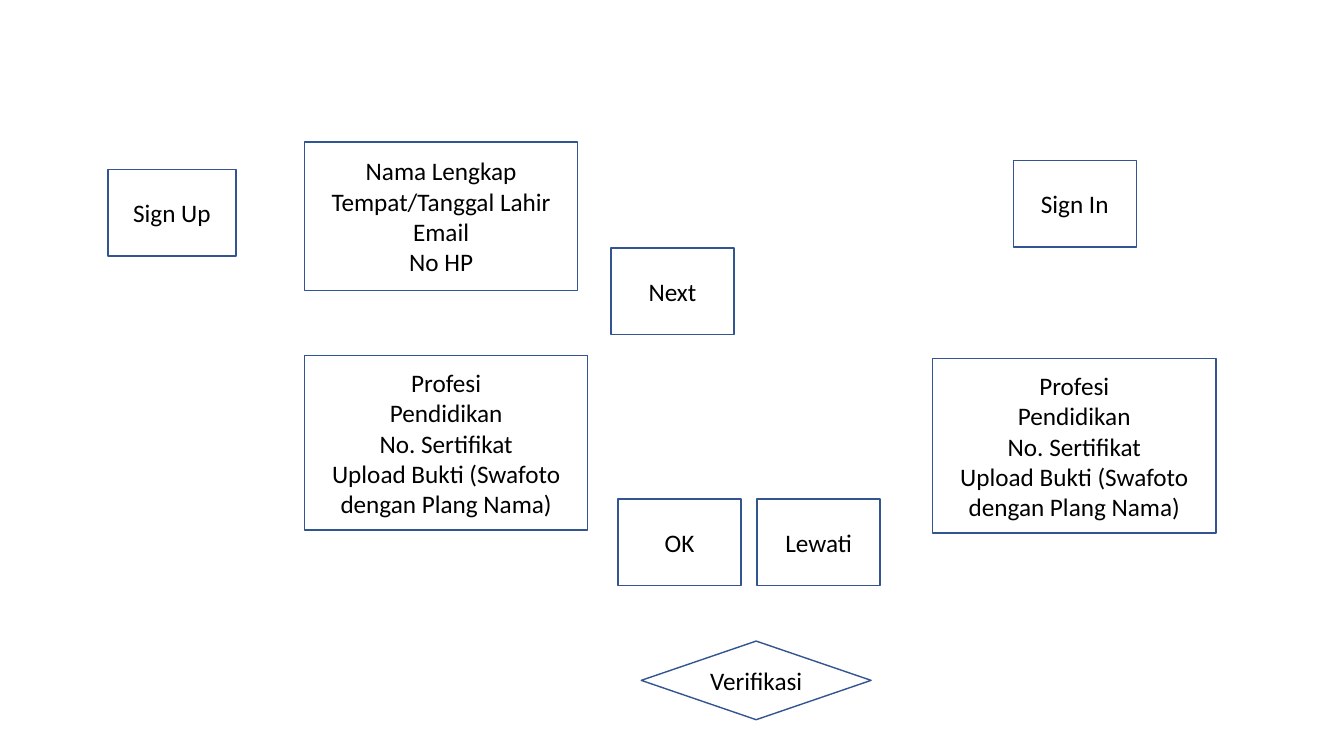
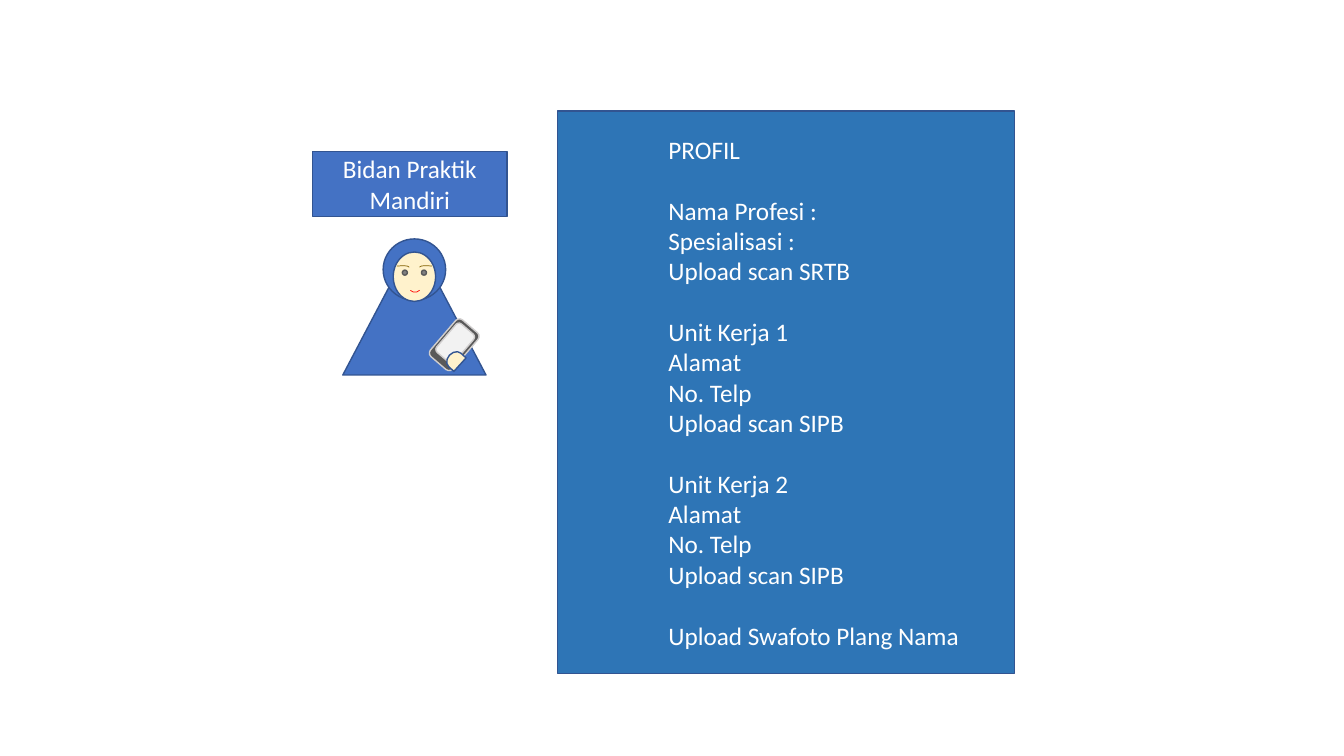
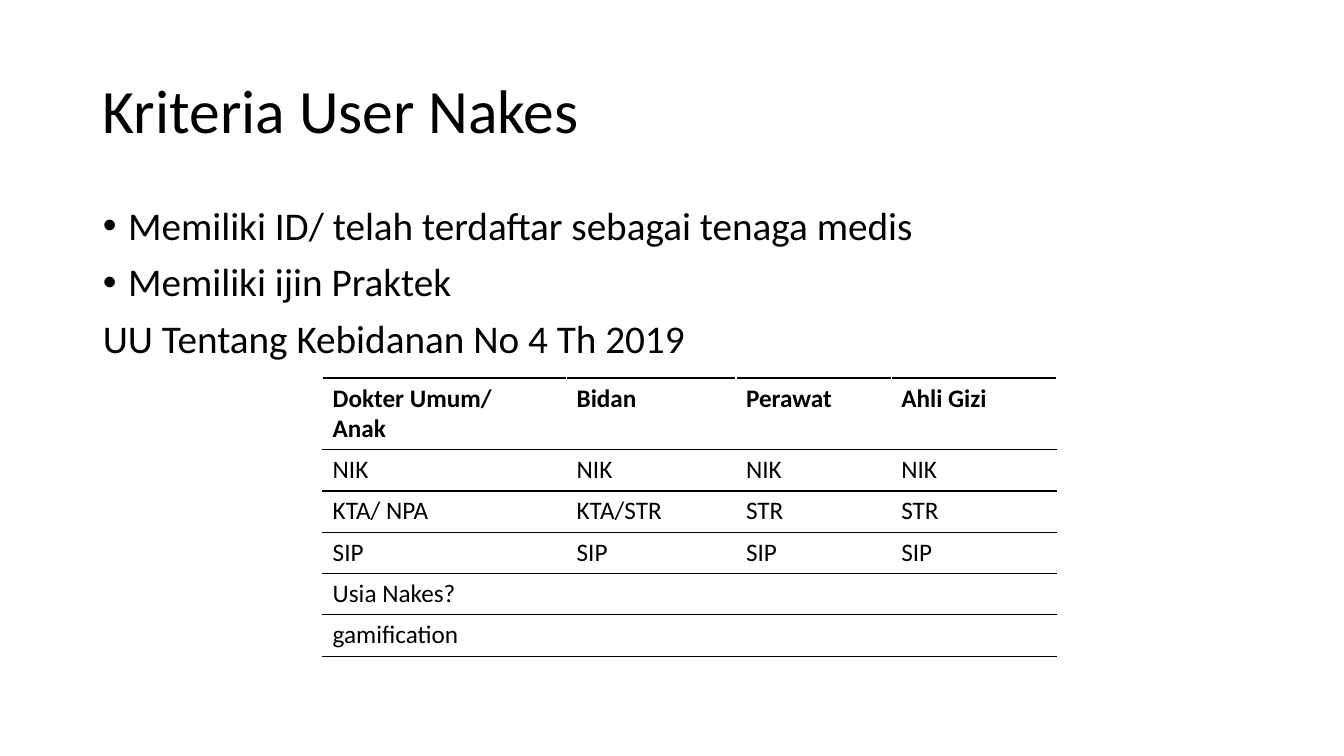
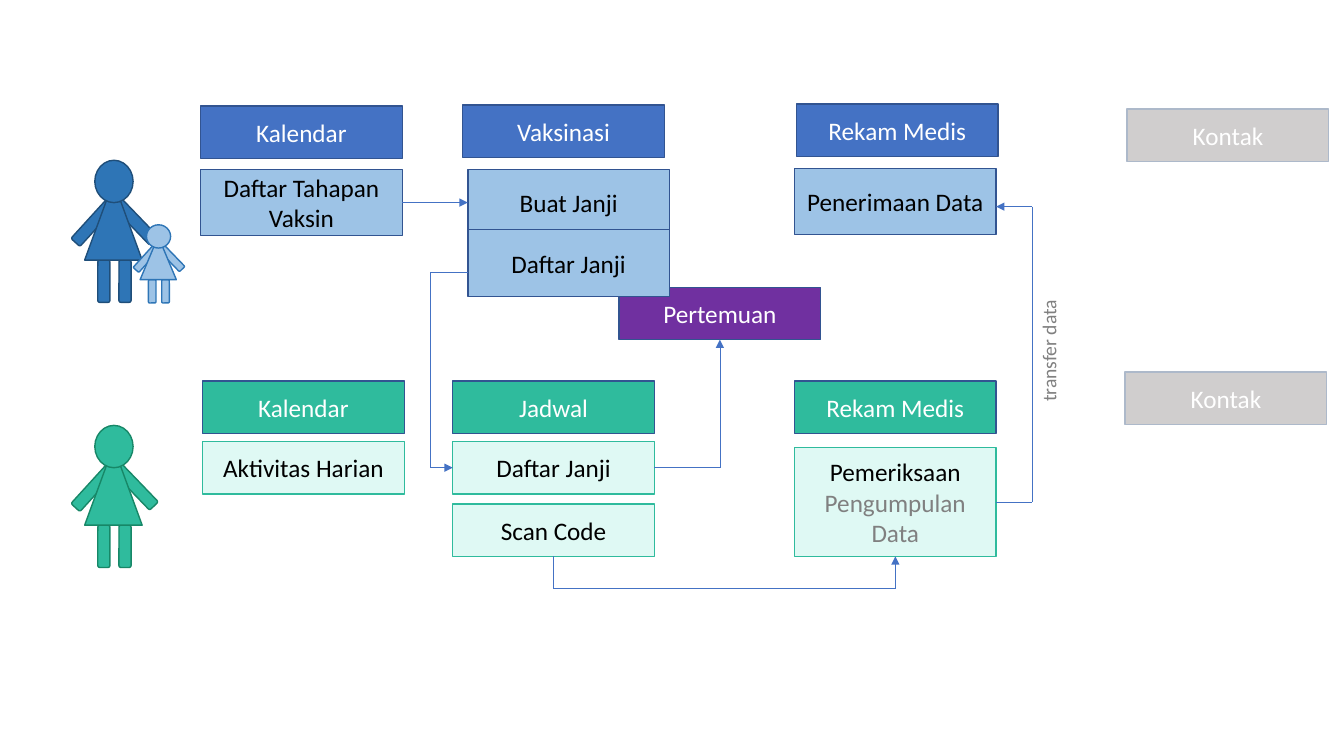
from lxml.etree import SubElement as Sub
from pptx import Presentation
from pptx.dml.color import RGBColor as Rgb
from pptx.enum.shapes import MSO_CONNECTOR as Conn, MSO_SHAPE as Geo
from pptx.enum.text import MSO_ANCHOR as Anchor, PP_ALIGN as Align
from pptx.oxml.ns import qn
from pptx.util import Inches, Pt

HUES = {
    "black": "000000", "white": "FFFFFF", "navy": "325491", "blue": "4472C4",
    "steel": "2E75B6", "deep": "1F4E79", "sky": "9DC3E6", "teal": "2FBB9D",
    "pine": "178767", "mint": "DFF9F4", "plum": "7030A0", "pale": "D0CECE",
    "mist": "ADB9CA", "gray": "808080", "dark": "595959", "snow": "F2F2F2",
    "skin": "FFF2CC", "red": "FF0000", "brown": "806000",
}
LOOKS = {
    "plain": (None, "navy", "black"), "head": ("blue", "navy", "white"),
    "panel": ("steel", "navy", "white"), "step": ("sky", "navy", "black"),
    "green": ("teal", "navy", "white"), "task": ("mint", "teal", "black"),
    "meet": ("plum", "navy", "white"), "off": ("pale", "mist", "white"),
}
BODY = [
    (Geo.ROUNDED_RECTANGLE, 0.43, 0.31, 0.12, 0.57, 316.1),
    (Geo.ROUNDED_RECTANGLE, 0.13, 0.99, 0.12, 0.42, 0),
    (Geo.ROUNDED_RECTANGLE, 0.34, 0.99, 0.12, 0.42, 0),
    (Geo.ROUNDED_RECTANGLE, 0.04, 0.32, 0.12, 0.57, 42.3),
    (Geo.ISOSCELES_TRIANGLE, 0, 0.21, 0.57, 0.78, 0),
    (Geo.OVAL, 0.1, 0, 0.38, 0.42, 0),
]


class Deck:
    """Holds the style and the current slide, and draws each kind of element."""

    def __init__(self):
        self.prs = Presentation()
        self.prs.slide_width, self.prs.slide_height = Inches(13.33), Inches(7.5)
        self.font = {"name": "Calibri", "size": Pt(18), "bold": False}

    def hue(self, name):
        return Rgb.from_string(HUES[name])

    def page(self, layout=6):
        self.slide = self.prs.slides.add_slide(self.prs.slide_layouts[layout])

    def text(self, frame, lines, hue="black", align=Align.LEFT, **form):
        frame.text = "\n".join(lines)
        frame.word_wrap = True
        for para in frame.paragraphs:
            para.alignment = align
            for run in para.runs:
                for key, val in {**self.font, **form}.items():
                    setattr(run.font, key, val)
                run.font.color.rgb = self.hue(hue)
        return frame.paragraphs

    def shape(self, geo, at, fill, line, width=1, turn=0):
        item = self.slide.shapes.add_shape(geo, *map(Inches, at))
        item.shadow.inherit = False
        item.rotation = turn
        if fill:
            item.fill.solid()
            item.fill.fore_color.rgb = self.hue(fill)
        else:
            item.fill.background()
        item.line.color.rgb = self.hue(line)
        item.line.width = Pt(width)
        return item

    def box(self, look, at, *lines, geo=Geo.RECTANGLE, align=Align.CENTER):
        fill, line, hue = LOOKS[look]
        item = self.shape(geo, at, fill, line)
        item.text_frame.vertical_anchor = Anchor.MIDDLE
        self.text(item.text_frame, lines, hue, align)
        return item

    def label(self, at, text, hue, size, turn):
        item = self.slide.shapes.add_textbox(*map(Inches, at))
        item.rotation = turn
        item.text_frame.vertical_anchor = Anchor.MIDDLE
        self.text(item.text_frame, [text], hue, Align.CENTER, size=Pt(size))

    def route(self, *spots, start=None, end=None):
        last = len(spots) - 2
        for i, (a, b) in enumerate(zip(spots, spots[1:])):
            wire = self.slide.shapes.add_connector(Conn.STRAIGHT, *map(Inches, a + b))
            wire.line.color.rgb = self.hue("blue")
            wire.line.width = Pt(0.5)
            if i == 0 and start:
                wire.begin_connect(*start)
            if i == last:
                Sub(wire.element.spPr.find(qn("a:ln")), qn("a:tailEnd"), type="triangle")
                if end:
                    wire.end_connect(*end)
            Sub(wire.element.spPr, qn("a:effectLst"))

    def person(self, left, top, fill, line, wide=1, tall=1):
        for geo, x, y, w, h, turn in BODY:
            at = left + x * wide, top + y * tall, w * wide, h * tall
            self.shape(geo, at, fill, line, turn=turn)

    def holder(self, spot, at, lines, size, anchor):
        item = self.slide.placeholders[spot]
        item.left, item.top, item.width, item.height = map(Inches, at)
        item.text_frame.vertical_anchor = anchor
        paras = self.text(item.text_frame, lines, size=Pt(size))
        for i, para in enumerate(paras):
            para.line_spacing = 0.9
            para.space_before = Pt(10 if i else 0)
        return paras

    def bullet(self, para, mark):
        props = para._p.get_or_add_pPr()
        props.set("marL", str(Inches(0.25) if mark else 0))
        props.set("indent", str(Inches(-0.25) if mark else 0))
        if mark:
            Sub(props, qn("a:buFont"), typeface="Arial")
            Sub(props, qn("a:buChar"), char=mark)
        else:
            Sub(props, qn("a:buNone"))

    def table(self, at, cols, rows, cells):
        grid = self.slide.shapes.add_table(len(rows), len(cols), *map(Inches, at)).table
        grid.first_row = grid.horz_banding = False
        for col, size in zip(grid.columns, cols):
            col.width = Inches(size)
        for r, (row, size) in enumerate(zip(grid.rows, rows)):
            row.height = Inches(size)
            for cell, text in zip(row.cells, cells[r]):
                self.text(cell.text_frame, text.split("\n"), bold=r == 0)
                props = cell._tc.get_or_add_tcPr()
                for side in "TB":
                    edge = Sub(props, qn("a:ln" + side), w=str(Pt(1)))
                    ink = Sub(edge, qn("a:solidFill"))
                    Sub(ink, qn("a:srgbClr"), val=HUES["black"])
                cell.fill.background()


def signup(deck):
    deck.page()
    job = ("Profesi", "Pendidikan", "No. Sertifikat",
           "Upload Bukti (Swafoto dengan Plang Nama)")
    deck.box("plain", (1.07, 1.68, 1.27, 0.86), "Sign Up")
    deck.box("plain", (3.02, 1.41, 2.71, 1.47),
             "Nama Lengkap", "Tempat/Tanggal Lahir", "Email", "No HP")
    for x, y in ((3.02, 3.53), (9.25, 3.56)):
        deck.box("plain", (x, y, 2.81, 1.73), *job)
    for text, x, y in (("Sign In", 10.05, 1.59), ("Next", 6.06, 2.46),
                       ("OK", 6.13, 4.95), ("Lewati", 7.51, 4.95)):
        deck.box("plain", (x, y, 1.22, 0.86), text)
    deck.box("plain", (6.36, 6.36, 2.28, 0.78), "Verifikasi", geo=Geo.FLOWCHART_DECISION)


def midwife(deck):
    deck.shape(Geo.ISOSCELES_TRIANGLE, (3.4, 2.37, 1.42, 1.35), "blue", "navy")
    deck.shape(Geo.OVAL, (3.8, 2.37, 0.62, 0.61), "blue", "navy")
    deck.shape(Geo.OVAL, (3.9, 2.5, 0.42, 0.49), "skin", "navy")
    for x in (3.99, 4.18):
        deck.shape(Geo.OVAL, (x, 2.68, 0.05, 0.05), "gray", "dark")
    deck.shape(Geo.ARC, (4.05, 2.77, 0.13, 0.13), None, "red", 0.5, 134.6)
    deck.shape(Geo.ARC, (3.82, 2.64, 0.24, 0.05), None, "brown", 0.5, 353.1)
    brow = deck.shape(Geo.ARC, (4.16, 2.64, 0.24, 0.05), None, "brown", 0.5, 6.9)
    brow.adjustments[0], brow.adjustments[1] = 108, 162
    deck.shape(Geo.ROUNDED_RECTANGLE, (4.36, 3.18, 0.29, 0.48), "dark", "pale", turn=40.5)
    deck.shape(Geo.ROUNDED_RECTANGLE, (4.4, 3.22, 0.23, 0.37), "snow", "pale", turn=40.5)
    deck.shape(Geo.FLOWCHART_DELAY, (4.44, 3.48, 0.14, 0.18), "skin", "navy", turn=222.1)


def profile(deck):
    deck.page()
    midwife(deck)
    deck.box("head", (3.1, 1.5, 1.93, 0.65), "Bidan Praktik Mandiri")
    unit = ["Alamat", "No. Telp", "Upload scan SIPB"]
    groups = [
        ["PROFIL"],
        ["Nama Profesi :", "Spesialisasi :", "Upload scan SRTB"],
        ["Unit Kerja 1"] + unit,
        ["Unit Kerja 2"] + unit,
        ["Upload Swafoto Plang Nama"],
    ]
    panel = deck.box("panel", (5.53, 1.1, 4.53, 5.58), *sum(groups, []), align=Align.LEFT)
    frame = panel.text_frame
    frame.margin_left = Inches(1.1)
    first = 0
    for group in groups[:-1]:
        first += len(group)
        frame.paragraphs[first].space_before = Pt(22)


def criteria(deck):
    deck.page(1)
    deck.holder(0, (0.92, 0.4, 11.5, 1.45), ["Kriteria User Nakes"], 44, Anchor.MIDDLE)
    lines = ["Memiliki ID/ telah terdaftar sebagai tenaga medis",
             "Memiliki ijin Praktek", "UU Tentang Kebidanan No 4 Th 2019"]
    paras = deck.holder(1, (0.92, 2, 11.5, 4.76), lines, 28, Anchor.TOP)
    for para, mark in zip(paras, ("•", "•", None)):
        deck.bullet(para, mark)
    deck.table((3.2, 3.75, 7.28, 2.76), (2.42, 1.68, 1.54, 1.64), [0.71] + [0.41] * 5, [
        ["Dokter Umum/\nAnak", "Bidan", "Perawat", "Ahli Gizi"],
        ["NIK"] * 4,
        ["KTA/ NPA", "KTA/STR", "STR", "STR"],
        ["SIP"] * 4,
        ["Usia Nakes?", "", "", ""],
        ["gamification", "", "", ""],
    ])


def flow(deck):
    deck.page()
    deck.person(0.84, 1.59, "steel", "deep")
    deck.person(1.39, 2.23, "sky", "steel", 0.63, 0.55)
    deck.person(0.84, 4.22, "teal", "pine")
    wide, low, high = 2, 0.52, 0.66
    for look, text, x, y in (
        ("head", "Kalendar", 1.99, 1.05), ("head", "Vaksinasi", 4.59, 1.04),
        ("head", "Rekam Medis", 7.9, 1.03), ("off", "Kontak", 11.18, 1.08),
        ("green", "Kalendar", 2.01, 3.78), ("green", "Jadwal", 4.49, 3.78),
        ("green", "Rekam Medis", 7.88, 3.78), ("off", "Kontak", 11.16, 3.69),
        ("task", "Aktivitas Harian", 2.01, 4.38),
    ):
        deck.box(look, (x, y, wide, low), text)
    stage = deck.box("step", (1.99, 1.68, wide, high), "Daftar Tahapan Vaksin")
    book = deck.box("step", (4.64, 1.68, wide, high), "Buat Janji")
    deck.box("step", (7.88, 1.67, wide, high), "Penerimaan Data")
    meet = deck.box("meet", (6.14, 2.85, wide, low), "Pertemuan")
    deck.box("step", (4.64, 2.28, wide, high), "Daftar Janji")
    plan = deck.box("task", (4.49, 4.38, wide, low), "Daftar Janji")
    scan = deck.box("task", (4.49, 5, wide, low), "Scan Code")
    exam = deck.box("task", (7.88, 4.44, wide, 1.08), "Pemeriksaan", "Pengumpulan Data")
    exam.text_frame.paragraphs[1].runs[0].font.color.rgb = deck.hue("gray")
    deck.route((3.99, 2.01), (4.64, 2.01), start=(stage, 3), end=(book, 1))
    deck.route((4.64, 2.7), (4.27, 2.7), (4.27, 4.64), (4.49, 4.64), end=(plan, 1))
    deck.route((6.49, 4.64), (7.14, 4.64), (7.14, 3.37), start=(plan, 3), end=(meet, 2))
    deck.route((5.49, 5.52), (5.49, 5.84), (8.88, 5.84), (8.88, 5.52),
               start=(scan, 2), end=(exam, 2))
    deck.route((9.88, 4.98), (10.24, 4.98), (10.24, 2.05), (9.88, 2.05), start=(exam, 3))
    deck.label((9.4, 3.22, wide, low), "transfer data", "gray", 14, 270)


def main():
    deck = Deck()
    for draw in (signup, profile, criteria, flow):
        draw(deck)
    deck.prs.save("out.pptx")


if __name__ == "__main__":
    main()
